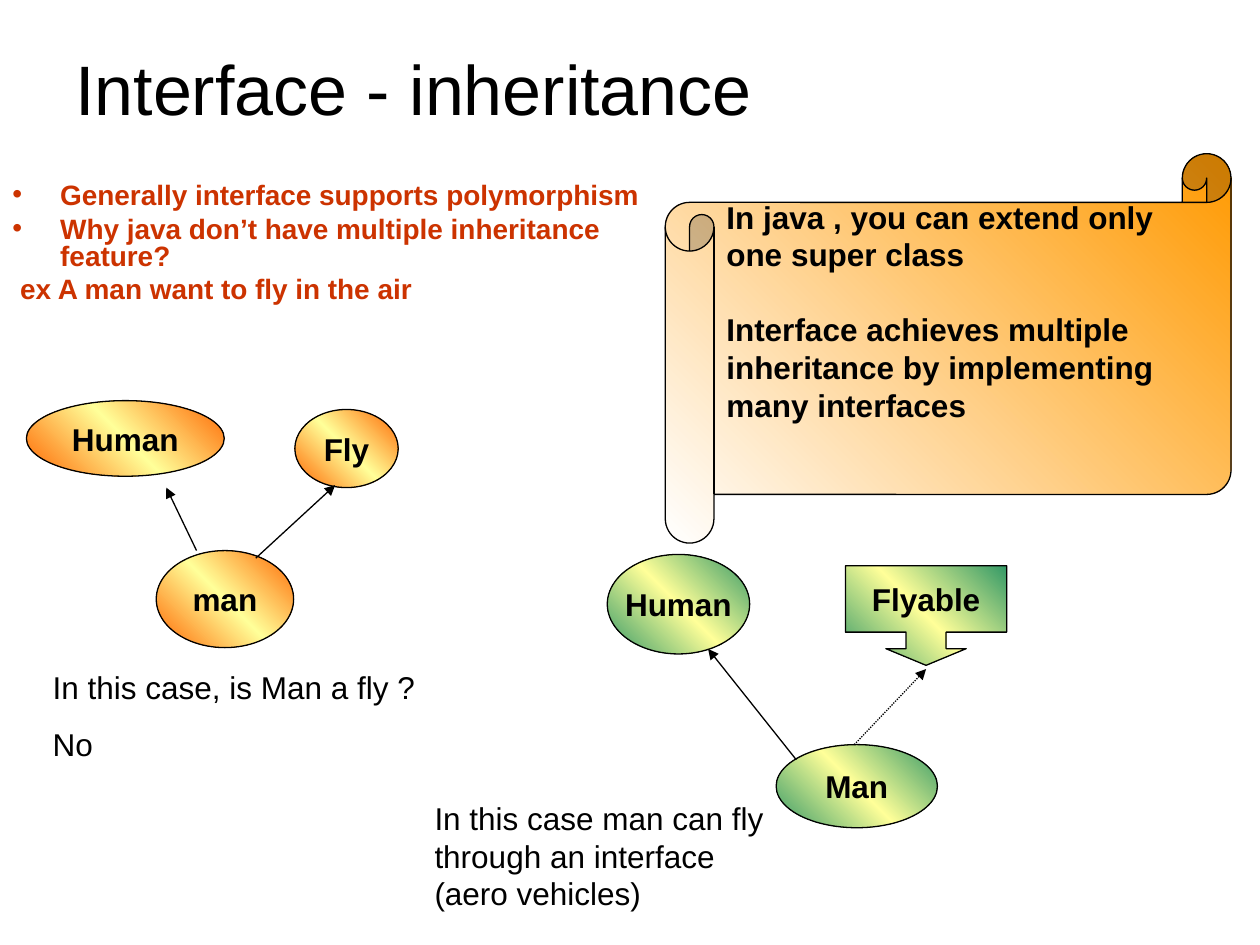
import pptx
import pptx.util
import pptx.dml.color
import pptx.enum.dml
import pptx.enum.shapes
import pptx.enum.text
import pptx.oxml
import pptx.oxml.ns

Inches, Pt = pptx.util.Inches, pptx.util.Pt
RGBColor = pptx.dml.color.RGBColor
SHAPE = pptx.enum.shapes.MSO_SHAPE
ANCHOR = pptx.enum.text.MSO_ANCHOR
ALIGN = pptx.enum.text.PP_ALIGN

BLACK = RGBColor(0x00, 0x00, 0x00)
WHITE = RGBColor(0xFF, 0xFF, 0xFF)
RED = RGBColor(0xCC, 0x33, 0x00)
ORANGE = RGBColor(0xFF, 0x66, 0x00)
AMBER = RGBColor(0xFF, 0x99, 0x00)
YELLOW = RGBColor(0xFF, 0xFF, 0x99)
GREEN = RGBColor(0x33, 0x99, 0x66)
NS = pptx.oxml.ns.nsdecls("a")


def write(shape, lines, size=18, color=BLACK, bold=False, before=0):
    tf = shape.text_frame
    tf.word_wrap = True
    tf.text = "\n".join(lines)
    for p in tf.paragraphs:
        p.space_before = Pt(before)
        for r in p.runs:
            r.font.name, r.font.size = "Arial", Pt(size)
            r.font.bold, r.font.color.rgb = bold, color
    return tf


def add_text(slide, box, lines, **style):
    s = slide.shapes.add_textbox(*map(Inches, box))
    return write(s, lines, **style)


def add_gradient_shape(slide, kind, box, colors, lines):
    """Outlined shape whose colours run evenly towards the top right."""
    s = slide.shapes.add_shape(kind, *map(Inches, box))
    s.shadow.inherit = False
    s.line.color.rgb, s.line.width = BLACK, Pt(0.75)
    s.fill.gradient()
    s.fill.gradient_angle = 45
    stops = s._element.spPr.find(".//" + pptx.oxml.ns.qn("a:gsLst"))
    for old in list(stops):
        stops.remove(old)
    for i, color in enumerate(colors):
        pos = 100000 * i // (len(colors) - 1)
        stops.append(pptx.oxml.parse_xml(
            f'<a:gs {NS} pos="{pos}"><a:srgbClr val="{color}"/></a:gs>'))
    tf = write(s, lines, bold=True)
    tf.vertical_anchor = ANCHOR.MIDDLE
    return s


def add_node(slide, box, label, color, kind=SHAPE.OVAL):
    s = add_gradient_shape(slide, kind, box, (color, YELLOW, color), [label])
    s.text_frame.word_wrap = False
    s.text_frame.paragraphs[0].alignment = ALIGN.CENTER
    return s


def add_arrow(slide, start, end, dotted=False):
    c = slide.shapes.add_connector(
        pptx.enum.shapes.MSO_CONNECTOR.STRAIGHT, *map(Inches, start + end))
    c.line.color.rgb, c.line.width = BLACK, Pt(0.75)
    if dotted:
        c.line.dash_style = pptx.enum.dml.MSO_LINE.ROUND_DOT
    c.line._get_or_add_ln().append(
        pptx.oxml.parse_xml(f'<a:tailEnd {NS} type="triangle"/>'))
    c._element.spPr.append(pptx.oxml.parse_xml(f"<a:effectLst {NS}/>"))


def add_title(slide, box):
    tf = add_text(slide, box, ["Interface - inheritance"], size=40)
    tf.vertical_anchor = ANCHOR.MIDDLE


def add_points(slide, box):
    tf = add_text(slide, box, [
        "Generally interface supports polymorphism",
        "Why java don’t have multiple inheritance feature?",
        " ex A man want to fly in the air",
    ], size=16, color=RED, bold=True, before=4)
    for i, p in enumerate(tf.paragraphs):
        p.line_spacing = 0.8
        pPr = p._p.get_or_add_pPr()
        pPr.set("marL", str(Inches(0.38)))
        pPr.set("indent", str(-Inches(0.38)))
        if i < 2:
            for xml in (f'<a:buClr {NS}><a:srgbClr val="{RED}"/></a:buClr>',
                        f'<a:buFont {NS} typeface="Arial"/>',
                        f'<a:buChar {NS} char="•"/>'):
                pPr.append(pptx.oxml.parse_xml(xml))


def add_class_diagram(slide, box):
    """Man inheriting from two classes, with the question below."""
    x, y = box[:2]
    add_node(slide, (x + 1.03, y + 1.19, 1.09, 0.77), "man", ORANGE)
    add_node(slide, (x + 2.13, y + 0.07, 0.82, 0.62), "Fly", ORANGE)
    add_node(slide, (x, y, 1.57, 0.6), "Human", ORANGE)
    add_arrow(slide, (x + 1.35, y + 1.19), (x + 1.11, y + 0.69))
    add_arrow(slide, (x + 1.82, y + 1.25), (x + 2.45, y + 0.67))
    add_text(slide, (x + 0.11, y + 2.07, 3.12, 0.86),
             ["In this case, is Man a fly ?", "No"], before=11.2)


def add_interface_diagram(slide, box):
    """Man extending a class and implementing an interface."""
    x, y = box[:2]
    add_node(slide, (x + 1.47, y, 1.13, 0.79), "Human", GREEN)
    flyable = add_node(slide, (x + 3.36, y + 0.09, 1.28, 0.79), "Flyable",
                       GREEN, SHAPE.DOWN_ARROW_CALLOUT)
    for i, value in enumerate((0.403, 0.403, 0.167, 0.667)):
        flyable.adjustments[i] = value
    add_node(slide, (x + 2.81, y + 1.51, 1.28, 0.66), "Man", GREEN)
    add_arrow(slide, (x + 2.97, y + 1.63), (x + 2.27, y + 0.75))
    add_arrow(slide, (x + 3.43, y + 1.51), (x + 4, y + 0.91), dotted=True)
    add_text(slide, (x, y + 1.89, 2.82, 1), [
        "In this case man can fly through an interface (aero vehicles)",
    ], before=11.2)


def add_scroll(slide, box):
    s = add_gradient_shape(slide, SHAPE.HORIZONTAL_SCROLL, box, (WHITE, AMBER), [
        "In java , you can extend only one super class",
        "Interface achieves multiple inheritance by implementing many interfaces",
    ])
    s.adjustments[0] = 0.125
    tf = s.text_frame
    tf.margin_bottom = Inches(0.65)  # lifts the text above the middle
    for p in tf.paragraphs:
        p.alignment = ALIGN.LEFT
    tf.paragraphs[1].space_before = Pt(21)


def main():
    prs = pptx.Presentation()
    prs.slide_width, prs.slide_height = Inches(10), Inches(7.5)
    slide = prs.slides.add_slide(prs.slide_layouts[6])
    add_title(slide, (0.5, 0.3, 9, 0.79))
    add_points(slide, (0, 1.41, 5.56, 1.41))
    add_class_diagram(slide, (0.21, 3.18, 3.23, 2.93))
    add_interface_diagram(slide, (3.35, 4.4, 4.64, 2.89))
    add_scroll(slide, (5.28, 1.22, 4.49, 3.09))
    prs.save("out.pptx")


if __name__ == "__main__":
    main()
